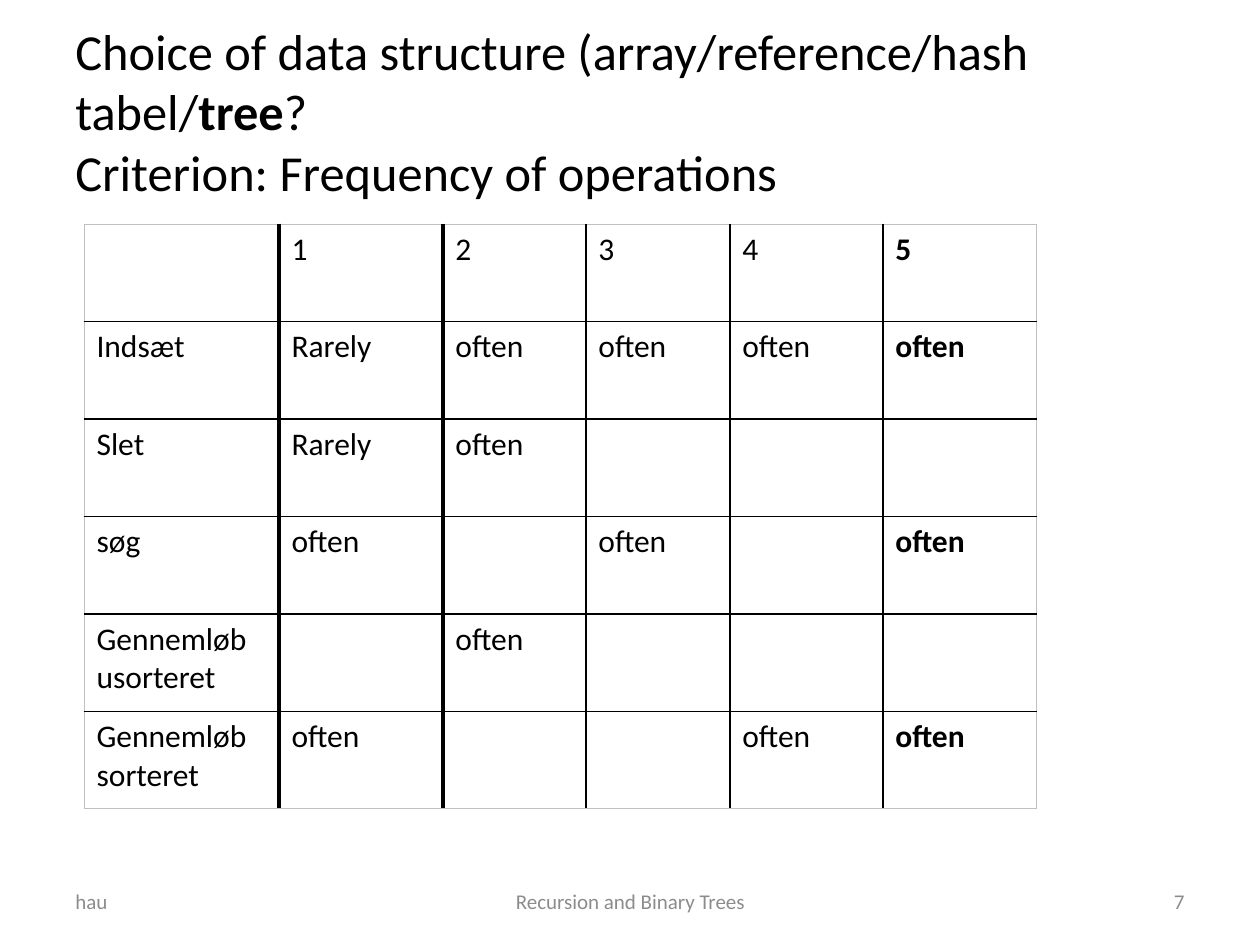
from pptx import Presentation
from pptx.dml.color import RGBColor
from pptx.enum.text import MSO_ANCHOR as ANCHOR, PP_ALIGN as ALIGN
from pptx.oxml.ns import qn
from pptx.util import Pt
from lxml.etree import SubElement

PX = 914400 // 126
BLACK, GREY, EDGE = "000000", "8C8C8C", "C0C0C0"
COLS = [195, 164, 143, 144, 153, 154]
ROW_H = 97.5
ROWS = [
    ["", "1", "2", "3", "4", "5"],
    ["Indsæt", "Rarely", "often", "often", "often", "often"],
    ["Slet", "Rarely", "often", "", "", ""],
    ["søg", "often", "", "often", "", "often"],
    ["Gennemløb\nusorteret", "", "often", "", "", ""],
    ["Gennemløb\nsorteret", "often", "", "", "often", "often"],
]


def px(n):
    """Turn pixels into EMU."""
    return int(n * PX)


def rgb(hex_color):
    """Turn a hex string into a colour."""
    return RGBColor.from_string(hex_color)


def style(font, color, **values):
    """Set the typeface, colour and other font values."""
    for name, value in {"name": "Calibri", **values}.items():
        setattr(font, name, value)
    font.color.rgb = rgb(color)


def add_text(s, box, runs, size, color, align=ALIGN.LEFT):
    """Add a middle-anchored paragraph of (text, bold) runs."""
    tf = s.shapes.add_textbox(*map(px, box)).text_frame
    for name, value in {"word_wrap": True, "vertical_anchor": ANCHOR.MIDDLE}.items():
        setattr(tf, name, value)
    p = tf.paragraphs[0]
    p.alignment = align
    for i, line in enumerate(runs):
        if i:
            p.add_line_break()
        for text, bold in line:
            r = p.add_run()
            r.text = text
            style(r.font, color, size=Pt(size), bold=bold)


def set_borders(cell, row, col):
    """Draw cell borders: pale outside, heavy around the second column."""
    tc_pr = cell._tc.get_or_add_tcPr()
    fill = tc_pr[0]
    edges = {"lnL": col, "lnR": col + 1, "lnT": row, "lnB": row + 1}
    for tag, edge in edges.items():
        outer = edge in (0, 6)
        heavy = tag in ("lnL", "lnR") and edge in (1, 2)
        width = 0.5 if outer else 3 if heavy else 1
        ln = SubElement(tc_pr, qn("a:" + tag), w=str(Pt(width)))
        solid = SubElement(ln, qn("a:solidFill"))
        SubElement(solid, qn("a:srgbClr"), val=EDGE if outer else BLACK)
    tc_pr.append(fill)


def add_frequency_table(s):
    """Add the table of operation frequencies."""
    frame = s.shapes.add_table(len(ROWS), len(COLS), px(84), px(224),
                               px(sum(COLS)), px(ROW_H * len(ROWS)))
    table = frame.table
    table.first_row = table.horz_banding = False
    for column, width in zip(table.columns, COLS):
        column.width = px(width)
    for i, values in enumerate(ROWS):
        table.rows[i].height = px(ROW_H)
        for j, text in enumerate(values):
            cell = table.cell(i, j)
            cell.text = text
            cell.fill.solid()
            cell.fill.fore_color.rgb = rgb("FFFFFF")
            set_borders(cell, i, j)
            for p in cell.text_frame.paragraphs:
                style(p.font, BLACK, size=Pt(18))
                for r in p.runs:
                    style(r.font, BLACK, size=Pt(18), bold=j == 5)


def main():
    """Build the slide and save it."""
    prs = Presentation()
    prs.slide_width, prs.slide_height = px(1260), px(945)
    s = prs.slides.add_slide(prs.slide_layouts[6])
    title = [
        [("Choice of data structure (array/reference/hash tabel/", False),
         ("tree", True), ("?", False)],
        [("Criterion: Frequency of operations", False)],
    ]
    add_text(s, (63, 26, 1162, 169), title, 28.8, BLACK)
    add_frequency_table(s)
    for left, width, text, align in [
        (431, 399, "Recursion and Binary Trees", ALIGN.CENTER),
        (63, 294, "hau", ALIGN.LEFT),
        (903, 294, "7", ALIGN.RIGHT),
    ]:
        add_text(s, (left, 876, width, 50), [[(text, False)]], 12, GREY, align)
    prs.save("out.pptx")


main()
